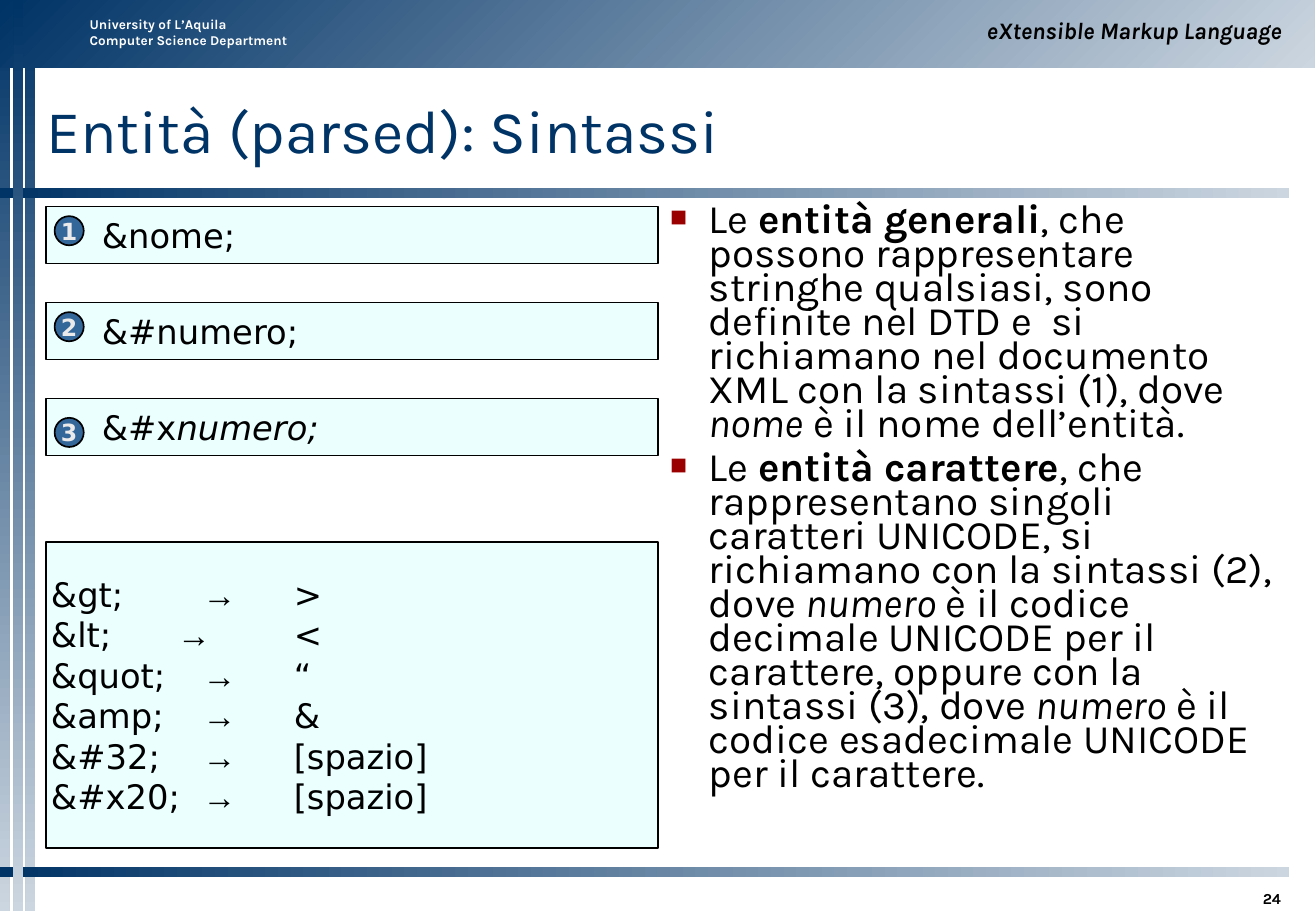
from lxml.etree import SubElement
from pptx import Presentation
from pptx.dml.color import RGBColor
from pptx.enum.shapes import MSO_SHAPE as Shape
from pptx.enum.text import MSO_ANCHOR as Anchor, MSO_AUTO_SIZE as AutoSize, PP_ALIGN as Align
from pptx.oxml.ns import qn
from pptx.util import Emu, Pt

# Content: a paragraph is a list of (text, style) spans
TITLE = [("Entità (parsed): Sintassi", "")]
DEPARTMENT = [("University of L’Aquila", ""), ("\n", ""), ("Computer Science Department", "")]
COURSE = [("eXtensible Markup Language", "")]
PAGE_NUMBER = [("24", "")]
NOTES = [
    [("Le ", ""), ("entità generali", "bold"),
     (", che possono rappresentare stringhe qualsiasi, sono definite nel DTD e  si "
      "richiamano nel documento XML con la sintassi (1), dove ", ""),
     ("nome", "italic"), (" è il nome dell’entità.", "")],
    [("Le ", ""), ("entità carattere", "bold"),
     (", che rappresentano singoli caratteri UNICODE, si richiamano con la sintassi (2), dove ", ""),
     ("numero", "italic"),
     (" è il codice decimale UNICODE per il carattere, oppure con la sintassi (3), dove ", ""),
     ("numero", "italic"), (" è il codice esadecimale UNICODE per il carattere.", "")],
]
# Badge top (px) and syntax
SYNTAXES = [
    (178, [("&nome;", "")]),
    (257, [("&#numero;", "")]),
    (344, [("&#x", ""), ("numero;", "italic")]),
]
# Entity, its character, tab stop of the arrow (px)
ENTITIES = [
    ("&gt;", ">", 125), ("&lt;", "<", 104), ("&quot;", "“", 125),
    ("&amp;", "&", 125), ("&#32;", "[spazio]", 125), ("&#x20;", "[spazio]", 125),
]
# Gradient bars: left, top, width, height (px), angle
BARS = [
    (0, 0, 8, 750, 90), (21, 0, 8, 750, 90), (0, 0, 1083, 56, 45),
    (0, 155, 1062, 8, 0), (0, 714, 1062, 8, 0), (11, 0, 8, 750, 90),
]

SLIDE_SIZE = (1084, 750)
BOX_LEFT, BOX_WIDTH, BOX_HEIGHT = 38, 504, 47
FIRST_BOX_TOP, BOX_STEP = 170, 79
BADGE_LEFT, BADGE_SIZE = 45, 24
CHARACTER_TAB = 200
NAVY, PALE_BLUE, BADGE_BLUE, CYAN = "003366", "CCD6E0", "336699", "EBFFFF"
BLACK, WHITE, BADGE_TEXT, BULLET_RED = "000000", "FFFFFF", "EAEAEA", "9A0000"
SANS, CODE, ARROW = "Karla", "DejaVu Sans", "Arial"


def px(length):
    return Emu(length * 9144)


def color(hex_string):
    return RGBColor.from_string(hex_string)


def place(box, left, top, width, height):
    box.left, box.top, box.width, box.height = map(px, (left, top, width, height))


def set_frame(box, insets, anchor=Anchor.TOP, wrap=True):
    frame = box.text_frame
    frame.auto_size = AutoSize.NONE
    frame.word_wrap = wrap
    frame.vertical_anchor = anchor
    (frame.margin_left, frame.margin_top,
     frame.margin_right, frame.margin_bottom) = map(px, insets)
    return frame


def next_paragraph(frame, index):
    return frame.add_paragraph() if index else frame.paragraphs[0]


def write(para, spans, font, size, ink, align=Align.LEFT, bold=False, italic=False):
    para.alignment = align
    para.font.name, para.font.size = font, Pt(size)
    para.font.bold, para.font.italic = bold, italic
    para.font.color.rgb = color(ink)
    for text, style in spans:
        if text == "\n":
            para.add_line_break()
            continue
        span = para.add_run()
        span.text = text
        if style == "bold":
            span.font.bold = True
        elif style == "italic":
            span.font.italic = True
        elif style:
            span.font.name = style


def add_solid(page, kind, area, fill):
    shape = page.shapes.add_shape(kind, *map(px, area))
    shape.shadow.inherit = False
    shape.fill.solid()
    shape.fill.fore_color.rgb = color(fill)
    shape.line.color.rgb = color(BLACK)
    shape.line.width = Pt(1)
    return shape


def add_bar(page, left, top, width, height, angle):
    bar = page.shapes.add_shape(Shape.RECTANGLE, *map(px, (left, top, width, height)))
    bar.shadow.inherit = False
    bar.line.fill.background()
    bar.fill.gradient()
    bar.fill.gradient_angle = (360 - angle) % 360
    for stop, shade, position in zip(bar.fill.gradient_stops, (NAVY, PALE_BLUE), (0, 1)):
        stop.color.rgb = color(shade)
        stop.position = position


def add_label(page, area, insets, spans, size, ink, anchor, align, italic=False, wrap=True):
    label = page.shapes.add_textbox(*map(px, area))
    frame = set_frame(label, insets, anchor, wrap)
    write(frame.paragraphs[0], spans, SANS, size, ink, align, True, italic)


def add_bullet(para):
    properties = para._p.get_or_add_pPr()
    properties.set("marL", str(px(32)))
    properties.set("indent", str(px(-32)))
    tint = SubElement(properties, qn("a:buClr"))
    SubElement(tint, qn("a:srgbClr"), val=BULLET_RED)
    SubElement(properties, qn("a:buSzPct"), val="70000")
    SubElement(properties, qn("a:buFont"), typeface=ARROW)
    SubElement(properties, qn("a:buChar"), char="■")


def add_tabs(para, stops):
    tabs = SubElement(para._p.get_or_add_pPr(), qn("a:tabLst"))
    for stop in stops:
        SubElement(tabs, qn("a:tab"), pos=str(px(stop)), algn="l")


def main():
    deck = Presentation()
    deck.slide_width, deck.slide_height = map(px, SLIDE_SIZE)
    page = deck.slides.add_slide(deck.slide_layouts[1])

    # Frame of gradient bars, with header and page number
    for bar in BARS:
        add_bar(page, *bar)
    add_label(page, (64, 8, 260, 37), (10, 5, 10, 5), DEPARTMENT, 8, WHITE,
              Anchor.TOP, Align.LEFT)
    add_label(page, (542, 8, 524, 33), (10, 5, 10, 5), COURSE, 14, BLACK,
              Anchor.BOTTOM, Align.RIGHT, italic=True)
    add_label(page, (947, 722, 118, 25), (10, 5, 10, 0), PAGE_NUMBER, 9, BLACK,
              Anchor.BOTTOM, Align.RIGHT, wrap=False)

    # Title
    title = page.shapes.title
    place(title, 38, 58, 1027, 96)
    frame = set_frame(title, (0, 0, 0, 0), Anchor.MIDDLE)
    write(frame.paragraphs[0], TITLE, SANS, 36, NAVY)

    # Explanations
    body = page.placeholders[1]
    place(body, 542, 170, 521, 542)
    frame = set_frame(body, (10, 0, 10, 0))
    for index, spans in enumerate(NOTES):
        para = next_paragraph(frame, index)
        para.line_spacing = 0.7
        para.space_before = Pt(6)
        add_bullet(para)
        write(para, spans, SANS, 24, BLACK)

    # Numbered syntax boxes
    for index, (badge_top, spans) in enumerate(SYNTAXES):
        area = (BOX_LEFT, FIRST_BOX_TOP + index * BOX_STEP, BOX_WIDTH, BOX_HEIGHT)
        box = add_solid(page, Shape.RECTANGLE, area, CYAN)
        frame = set_frame(box, (46, 4, 4, 4), Anchor.MIDDLE)
        write(frame.paragraphs[0], spans, CODE, 20, BLACK)
        badge = add_solid(page, Shape.OVAL, (BADGE_LEFT, badge_top, BADGE_SIZE, BADGE_SIZE),
                          BADGE_BLUE)
        frame = set_frame(badge, (0, 0, 0, 0), Anchor.MIDDLE, wrap=False)
        write(frame.paragraphs[0], [(str(index + 1), "")], CODE, 14, BADGE_TEXT,
              Align.CENTER, bold=True)

    # Entity examples
    examples = add_solid(page, Shape.RECTANGLE, (BOX_LEFT, 446, BOX_WIDTH, 252), CYAN)
    frame = set_frame(examples, (4, 4, 4, 4), Anchor.MIDDLE)
    for index, (entity, character, arrow_tab) in enumerate(ENTITIES):
        para = next_paragraph(frame, index)
        add_tabs(para, (arrow_tab, CHARACTER_TAB))
        spans = [(entity + "\t", ""), ("→\t", ARROW), (character, "")]
        write(para, spans, CODE, 20, BLACK)

    deck.save("out.pptx")


if __name__ == "__main__":
    main()
